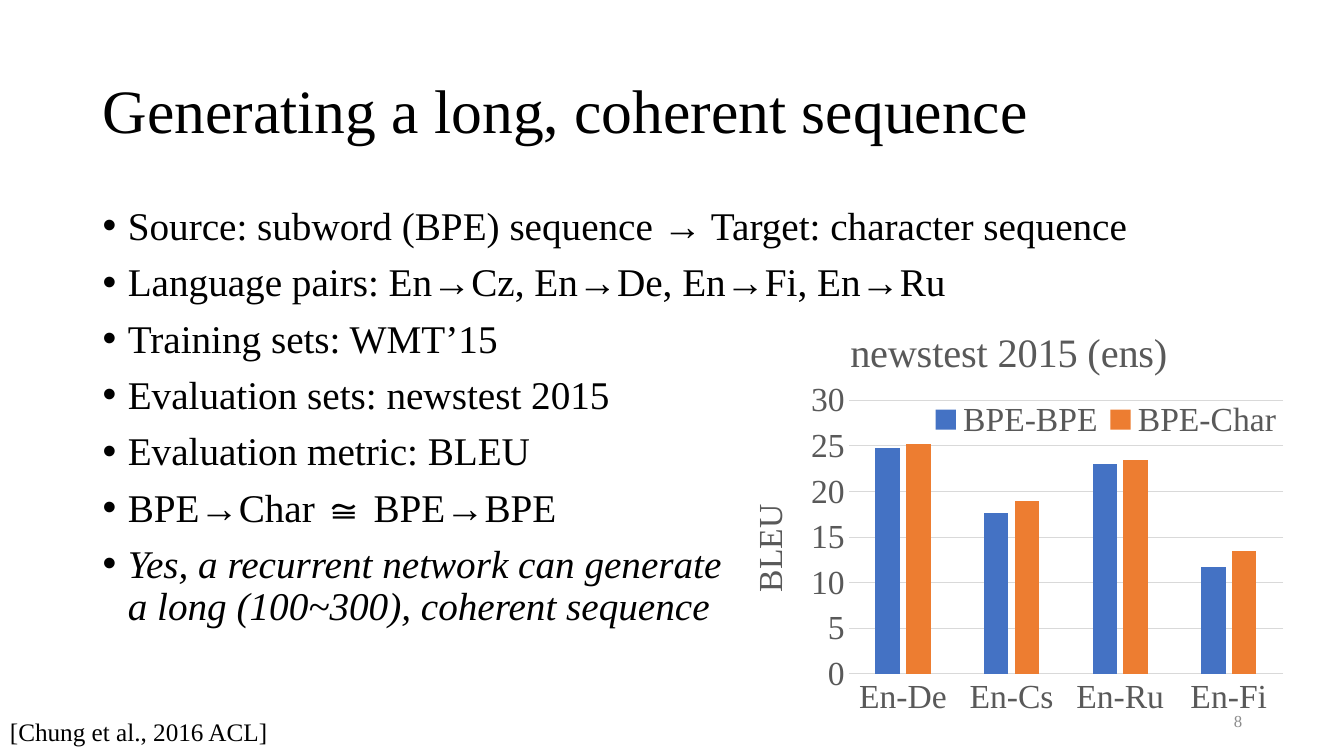
from lxml import etree
from pptx import Presentation
from pptx import util as u
from pptx.chart.data import CategoryChartData
from pptx.dml.color import RGBColor
from pptx.enum import chart as charts, text
from pptx.oxml import parse_xml
from pptx.oxml.ns import nsdecls, qn

BLACK = RGBColor(0x00, 0x00, 0x00)
GRAY = RGBColor(0x59, 0x59, 0x59)
PAGE_GRAY = RGBColor(0x8C, 0x8C, 0x8C)
GRID_GRAY = RGBColor(0xD9, 0xD9, 0xD9)
BLUE = RGBColor(0x44, 0x72, 0xC4)
ORANGE = RGBColor(0xED, 0x7D, 0x31)

BULLETS = [
    "Source: subword (BPE) sequence → Target: character sequence",
    "Language pairs: En→Cz, En→De, En→Fi, En→Ru",
    "Training sets: WMT’15",
    "Evaluation sets: newstest 2015",
    "Evaluation metric: BLEU",
    "BPE→Char ≅ BPE→BPE",
]
CONCLUSION = ["Yes, a recurrent network can generate",
              "a long (100~300), coherent sequence"]
PAIRS = ["En-De", "En-Cs", "En-Ru", "En-Fi"]
SCORES = {
    "BPE-BPE": ([24.8, 17.6, 23, 11.7], BLUE),
    "BPE-Char": ([25.2, 18.9, 23.5, 13.5], ORANGE),
}


class SlideBuilder:
    font_name = "Times New Roman"

    def __init__(self, presentation):
        self.slide = presentation.slides.add_slide(presentation.slide_layouts[5])

    def style_font(self, font, size, color, italic=None):
        font.name = self.font_name
        font.size = u.Pt(size)
        font.color.rgb = color
        font.bold = False
        font.italic = italic

    def add_run(self, paragraph, words, size, color=BLACK, italic=None):
        run = paragraph.add_run()
        run.text = words
        self.style_font(run.font, size, color, italic)

    def place(self, shape, left, top, width, height):
        shape.left, shape.top = u.Inches(left), u.Inches(top)
        shape.width, shape.height = u.Inches(width), u.Inches(height)

    def title(self, words, *box):
        shape = self.slide.shapes.title
        self.place(shape, *box)
        frame = shape.text_frame
        frame.auto_size = text.MSO_AUTO_SIZE.NONE
        frame.vertical_anchor = text.MSO_ANCHOR.MIDDLE
        paragraph = frame.paragraphs[0]
        paragraph.alignment = text.PP_ALIGN.LEFT
        paragraph.line_spacing = 0.9
        self.add_run(paragraph, words, 44)

    def text_box(self, *box, anchor=text.MSO_ANCHOR.TOP):
        shape = self.slide.shapes.add_textbox(*map(u.Inches, box))
        frame = shape.text_frame
        frame.word_wrap = True
        frame.vertical_anchor = anchor
        return frame

    def label(self, words, size, *box, color=BLACK, align=text.PP_ALIGN.LEFT,
              anchor=text.MSO_ANCHOR.TOP):
        paragraph = self.text_box(*box, anchor=anchor).paragraphs[0]
        paragraph.alignment = align
        self.add_run(paragraph, words, size, color)

    def bullet(self, paragraph, lines, italic=None):
        paragraph.line_spacing = 0.9
        paragraph.space_before = u.Pt(10)
        properties = paragraph._p.get_or_add_pPr()
        properties.set("marL", str(u.Inches(0.25)))
        properties.set("indent", str(-u.Inches(0.25)))
        etree.SubElement(properties, qn("a:buFont")).set("typeface", "Arial")
        etree.SubElement(properties, qn("a:buChar")).set("char", "•")
        for number, line in enumerate(lines):
            if number:
                paragraph.add_line_break()
            self.add_run(paragraph, line, 28, italic=italic)

    def bullets(self, items, conclusion, *box):
        frame = self.text_box(*box)
        for number, item in enumerate(items):
            paragraph = frame.add_paragraph() if number else frame.paragraphs[0]
            self.bullet(paragraph, [item])
        self.bullet(frame.add_paragraph(), conclusion, italic=True)

    def chart_layout(self, element, index, target, **fractions):
        """Fix a chart part's place as fractions of the chart."""
        for old in element.findall(qn("c:layout")):
            element.remove(old)
        inner = f'<c:layoutTarget val="{target}"/>' if target else ""
        modes = '<c:xMode val="edge"/><c:yMode val="edge"/>'
        sizes = "".join(f'<c:{key} val="{value}"/>' for key, value in fractions.items())
        element.insert(index, parse_xml(
            f'<c:layout {nsdecls("c")}><c:manualLayout>{inner}{modes}{sizes}'
            '</c:manualLayout></c:layout>'))

    def column_chart(self, title, axis_title, categories, scores, *box):
        data = CategoryChartData(number_format="General")
        data.categories = categories
        for name, (values, _) in scores.items():
            data.add_series(name, values)
        chart = self.slide.shapes.add_chart(
            charts.XL_CHART_TYPE.COLUMN_CLUSTERED, *map(u.Inches, box), data).chart
        self.style_font(chart.font, 24, GRAY)

        # Titles
        chart.has_title = True
        self.add_run(chart.chart_title.text_frame.paragraphs[0], title, 28.8, GRAY)
        value_axis, category_axis = chart.value_axis, chart.category_axis
        value_axis.has_title = True
        self.add_run(value_axis.axis_title.text_frame.paragraphs[0], axis_title, 24, GRAY)

        # Axes
        for axis in (value_axis, category_axis):
            axis.major_tick_mark = axis.minor_tick_mark = charts.XL_TICK_MARK.NONE
            self.style_font(axis.tick_labels.font, 24, GRAY)
        value_axis.minimum_scale, value_axis.maximum_scale = 0, 30
        value_axis.major_unit = 5
        value_axis.format.line.fill.background()
        for line in (value_axis.major_gridlines.format.line, category_axis.format.line):
            line.color.rgb = GRID_GRAY
            line.width = u.Pt(0.75)

        # Columns
        plot = chart.plots[0]
        plot.gap_width, plot.overlap = 219, -27
        plot.vary_by_categories = False
        for series, (_, color) in zip(plot.series, scores.values()):
            series.format.fill.solid()
            series.format.fill.fore_color.rgb = color

        # Legend over the plot
        chart.has_legend = True
        legend = chart.legend
        legend.position = charts.XL_LEGEND_POSITION.BOTTOM
        legend.include_in_layout = False
        self.style_font(legend.font, 24, GRAY)
        plot_area = chart._chartSpace.chart.plotArea
        self.chart_layout(plot_area, 0, "inner", x=0.22, y=0.2, w=0.76, h=0.57)
        self.chart_layout(legend._element, 1, None, x=0.35, y=0.2, w=0.64, h=0.08)


def main():
    presentation = Presentation()
    presentation.slide_width = u.Inches(13.33)
    presentation.slide_height = u.Inches(7.5)
    builder = SlideBuilder(presentation)

    # Title and points
    builder.title("Generating a long, coherent sequence", 0.92, 0.4, 11.5, 1.45)
    builder.bullets(BULLETS, CONCLUSION, 0.92, 2, 11.5, 4.76)

    # Scores
    builder.column_chart("newstest 2015 (ens)", "BLEU", PAIRS, SCORES,
                         7.17, 3.02, 5.67, 4.76)

    # Citation and page number
    builder.label("[Chung et al., 2016 ACL]", 18, 0, 7.06, 3.93, 0.4)
    builder.label("8", 12, 9.42, 6.95, 3, 0.4, color=PAGE_GRAY,
                  align=text.PP_ALIGN.RIGHT, anchor=text.MSO_ANCHOR.MIDDLE)
    presentation.save("out.pptx")


if __name__ == "__main__":
    main()
